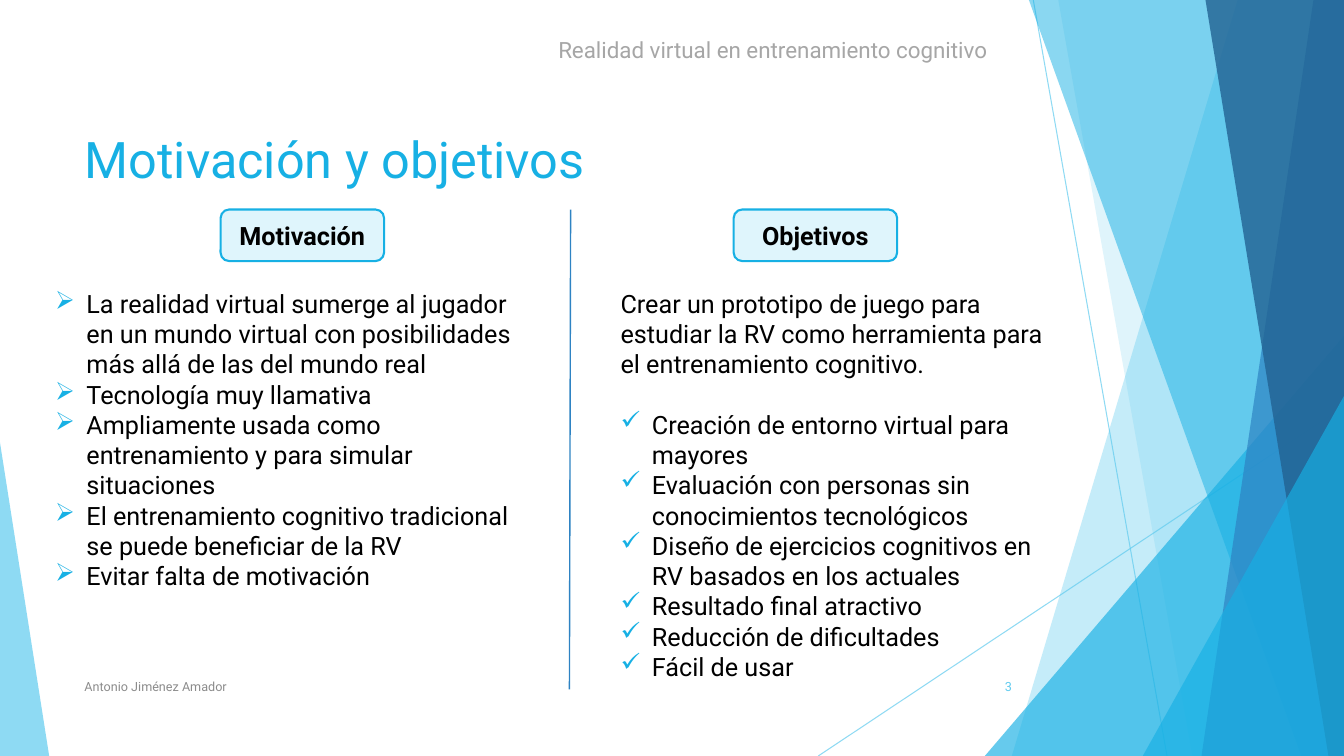
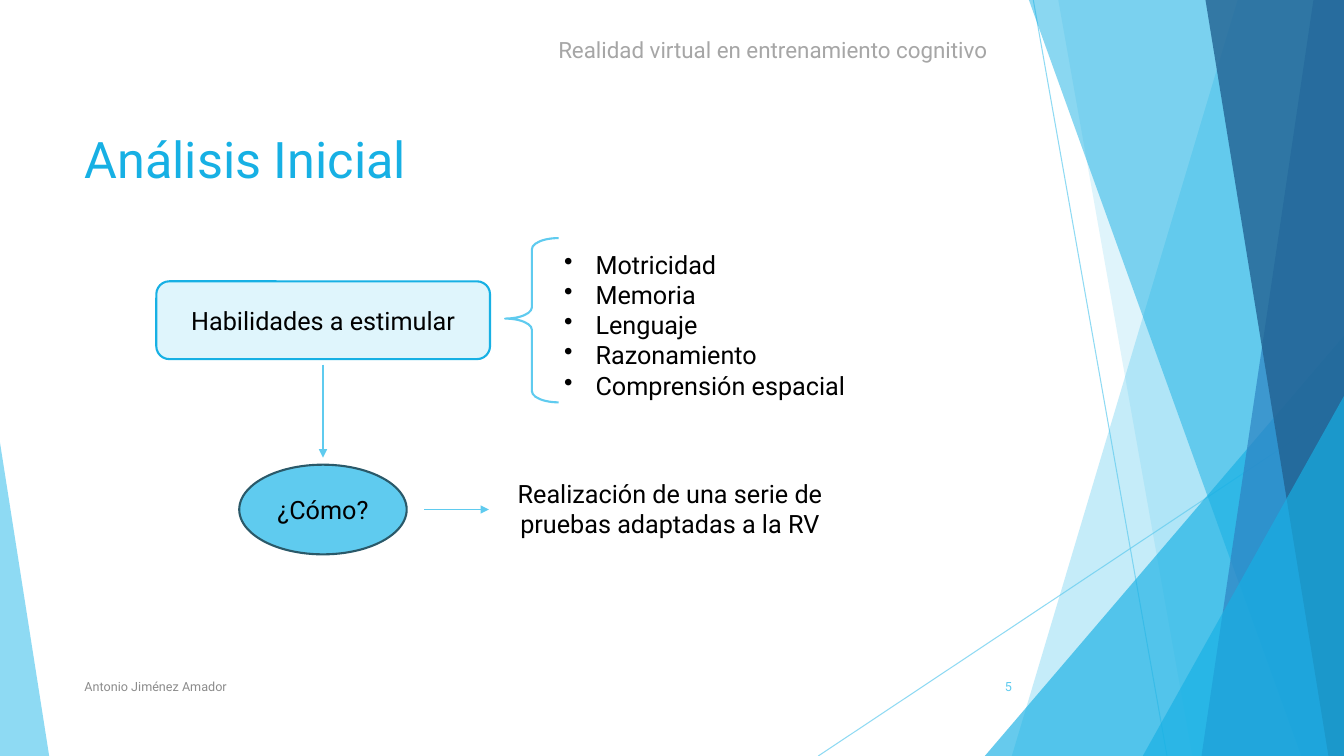
from lxml import etree
from pptx import Presentation, util as u
from pptx.dml.color import RGBColor
from pptx.enum import shapes as sh, text as tx
from pptx.oxml.ns import qn

# Shared look
WIDE, HIGH = 33.87, 19.05
SKY = RGBColor(0x5F, 0xCB, 0xEF)
BLUE = RGBColor(0x17, 0xB0, 0xE4)
STEEL = RGBColor(0x2E, 0x83, 0xC3)
NAVY = RGBColor(0x22, 0x62, 0x92)
PALE = RGBColor(0xDF, 0xF5, 0xFC)
EDGE = RGBColor(0x2A, 0x59, 0x69)
GRAY = RGBColor(0x8C, 0x8C, 0x8C)
SOFT = RGBColor(0xA6, 0xA6, 0xA6)
BLACK = RGBColor(0, 0, 0)
BODY = {"name": "Roboto", "size": u.Pt(18)}
BOLD = {**BODY, "bold": True}
TITLE = {**BODY, "size": u.Pt(36)}
HEAD = {**BODY, "size": u.Pt(16)}
SMALL = {**BODY, "size": u.Pt(9)}
MID = tx.MSO_ANCHOR.MIDDLE
LEFT, CENTER, RIGHT = tx.PP_ALIGN.LEFT, tx.PP_ALIGN.CENTER, tx.PP_ALIGN.RIGHT


def cm(*vals):
    return [u.Cm(v) for v in vals]


def style(item, form):
    for key, val in form.items():
        setattr(item, key, val)


def fade(color, pct):
    """Give the colour inside an element an opacity in percent."""
    for clr in color.iter(qn("a:srgbClr")):
        etree.SubElement(clr, qn("a:alpha"), val=str(pct * 1000))


def bullet(para, mark, color):
    prop = para._p.get_or_add_pPr()
    prop.set("marL", str(u.Cm(0.79)))
    prop.set("indent", str(-u.Cm(0.79)))
    tint = etree.SubElement(prop, qn("a:buClr"))
    etree.SubElement(tint, qn("a:srgbClr"), val=str(color))
    etree.SubElement(prop, qn("a:buChar"), char=mark)


def write(frame, lines, form=BODY, color=BLACK, align=LEFT,
          anchor=tx.MSO_ANCHOR.TOP, mark=None, tint=BLACK, intro=False):
    """Fill a frame; an intro line has no bullet and a gap below it."""
    style(frame, {"word_wrap": True, "vertical_anchor": anchor,
                  "auto_size": tx.MSO_AUTO_SIZE.NONE})
    for i, line in enumerate(lines):
        para = frame.paragraphs[0] if i == 0 else frame.add_paragraph()
        if mark and not (intro and i == 0):
            bullet(para, mark, tint)
        para.alignment = align
        if intro and i == 1:
            para.space_before = u.Pt(21.6)
        run = para.add_run()
        run.text = line
        style(run.font, form)
        run.font.color.rgb = color


def label(sl, box, lines, **form):
    write(sl.shapes.add_textbox(*cm(*box)).text_frame, lines, **form)


def paint(item, fill=None, line=None, alpha=None):
    item.shadow.inherit = False
    if fill is None:
        item.fill.background()
    else:
        item.fill.solid()
        item.fill.fore_color.rgb = fill
    if line is None:
        item.line.fill.background()
    else:
        item.line.color.rgb = line
        item.line.width = u.Pt(1.5)
    if alpha:
        fade(item._element.spPr, alpha)
    return item


def shape(sl, kind, box, **look):
    return paint(sl.shapes.add_shape(kind, *cm(*box)), **look)


def rule(sl, ends, color, width=1, alpha=None, arrow=False):
    line = sl.shapes.add_connector(sh.MSO_CONNECTOR.STRAIGHT, *cm(*ends))
    line.line.color.rgb = color
    line.line.width = u.Pt(width)
    prop = line._element.spPr
    if alpha:
        fade(prop, alpha)
    if arrow:
        etree.SubElement(prop.find(qn("a:ln")), qn("a:tailEnd"),
                         type="triangle")
    etree.SubElement(prop, qn("a:effectLst"))


def band(sl, top, low, color, alpha):
    """Draw a facet from a slanted left side to the right slide edge."""
    path = sl.shapes.build_freeform(*cm(top, 0))
    path.add_line_segments(
        [cm(*pt) for pt in ((WIDE, 0), (WIDE, HIGH), (low, HIGH))])
    paint(path.convert_to_shape(), color, alpha=alpha)


def wedge(sl, left, top, width, color, alpha, tip):
    """Draw a right triangle standing on the bottom slide edge."""
    item = shape(sl, sh.MSO_SHAPE.ISOSCELES_TRIANGLE,
                 (left, top, width, HIGH - top), fill=color, alpha=alpha)
    item.adjustments[0] = tip


def facets(sl):
    for ends in ((26.04, 0, 29.41, HIGH), (WIDE, 10.24, 20.62, HIGH)):
        rule(sl, ends, SKY, 0.75, 70)
    band(sl, 31.19, 25.5, SKY, 36)
    band(sl, 26.67, 30.05, SKY, 20)
    wedge(sl, 24.82, 8.46, WIDE - 24.82, BLUE, 66, 1)
    band(sl, 25.93, 32.79, BLUE, 50)
    band(sl, 33.1, 30.28, STEEL, 70)
    band(sl, 30.38, 33.48, NAVY, 80)
    wedge(sl, 28.8, 9.98, WIDE - 28.8, BLUE, 66, 1)
    wedge(sl, 0, 11.15, 1.24, SKY, 70, 0)


def base(deck, title, num):
    """Start a slide with its facets, title, header and footer."""
    sl = deck.slides.add_slide(deck.slide_layouts[5])
    facets(sl)
    spot = dict(zip(("left", "top", "width", "height"),
                    cm(1.88, 3.1, 23.88, 2.26)))
    style(sl.shapes.title, spot)
    write(sl.shapes.title.text_frame, [title], TITLE, BLUE)
    label(sl, (13.82, 0.79, 13.56, 0.94),
          ["Realidad virtual en entrenamiento cognitivo"],
          form=HEAD, color=SOFT)
    label(sl, (1.88, 16.79, 17.5, 1.02), ["Antonio Jiménez Amador"],
          form=SMALL, color=GRAY, anchor=MID)
    label(sl, (23.85, 16.79, 1.9, 1.02), [num],
          form=SMALL, color=SKY, align=RIGHT, anchor=MID)
    return sl


def pill(sl, box, word, form=BODY):
    item = shape(sl, sh.MSO_SHAPE.ROUNDED_RECTANGLE, box,
                 fill=PALE, line=BLUE)
    write(item.text_frame, [word], form, align=CENTER, anchor=MID)


def column(sl, box, shift, head, lines, mark, intro=False):
    """Place a heading, shifted from the left, over a list."""
    x, y, w, h = box
    pill(sl, (x + shift, y, 4.12, 1.3), head, BOLD)
    label(sl, (x, y + 1.86, w, h - 1.86), lines,
          mark=mark, tint=BLUE, intro=intro)


def flow(sl, box):
    """Place skills, brace and list above the question and its answer."""
    x, y, w, h = box
    wide, mid = 8.41, x + 4.2
    # Skills
    pill(sl, (x, y + 1.09, wide, 1.96), "Habilidades a estimular")
    brace = shape(sl, sh.MSO_SHAPE.LEFT_BRACE,
                  (x + 8.79, y, 1.35, 4.14), line=SKY)
    brace.adjustments[0], brace.adjustments[1] = 0.21, 0.49
    label(sl, (x + 10.03, y + 0.15, w - 10.03, 4.88),
          ["Motricidad", "Memoria", "Lenguaje", "Razonamiento",
           "Comprensión espacial"], mark="•")
    # Question and answer
    oval = shape(sl, sh.MSO_SHAPE.OVAL,
                 (mid - 2.11, y + h - 2.26, 4.22, 2.26),
                 fill=SKY, line=EDGE)
    write(oval.text_frame, ["¿Cómo?"], align=CENTER, anchor=MID)
    oval.text_frame.word_wrap = False
    row = y + h - 1.13
    label(sl, (x + 8.07, row - 0.92, 9.75, 1.8),
          ["Realización de una serie de pruebas adaptadas a la RV"],
          align=CENTER)
    # Arrows
    for ends in ((mid, y + 3.19, mid, y + 5.53),
                 (x + 6.75, row, x + 8.38, row)):
        rule(sl, ends, SKY, arrow=True)


def main():
    deck = Presentation()
    deck.slide_width, deck.slide_height = cm(WIDE, HIGH)

    sl = base(deck, "Motivación y objetivos", "3")
    column(sl, (1.14, 5.28, 12.4, 10.57), 4.42, "Motivación", [
        "La realidad virtual sumerge al jugador en un mundo virtual con "
        "posibilidades más allá de las del mundo real",
        "Tecnología muy llamativa",
        "Ampliamente usada como entrenamiento y para simular situaciones",
        "El entrenamiento cognitivo tradicional se puede beneficiar de la RV",
        "Evitar falta de motivación"], "➢")
    column(sl, (15.39, 5.28, 11.4, 12.12), 3.1, "Objetivos", [
        "Crear un prototipo de juego para estudiar la RV como herramienta "
        "para el entrenamiento cognitivo.",
        "Creación de entorno virtual para mayores",
        "Evaluación con personas sin conocimientos tecnológicos",
        "Diseño de ejercicios cognitivos en RV basados en los actuales",
        "Resultado final atractivo",
        "Reducción de dificultades",
        "Fácil de usar"], "✓", intro=True)
    rule(sl, (14.38, 5.28, 14.35, 17.37), STEEL)

    sl = base(deck, "Análisis Inicial", "5")
    flow(sl, (3.94, 6, 18.77, 7.97))

    deck.save("out.pptx")


if __name__ == "__main__":
    main()
